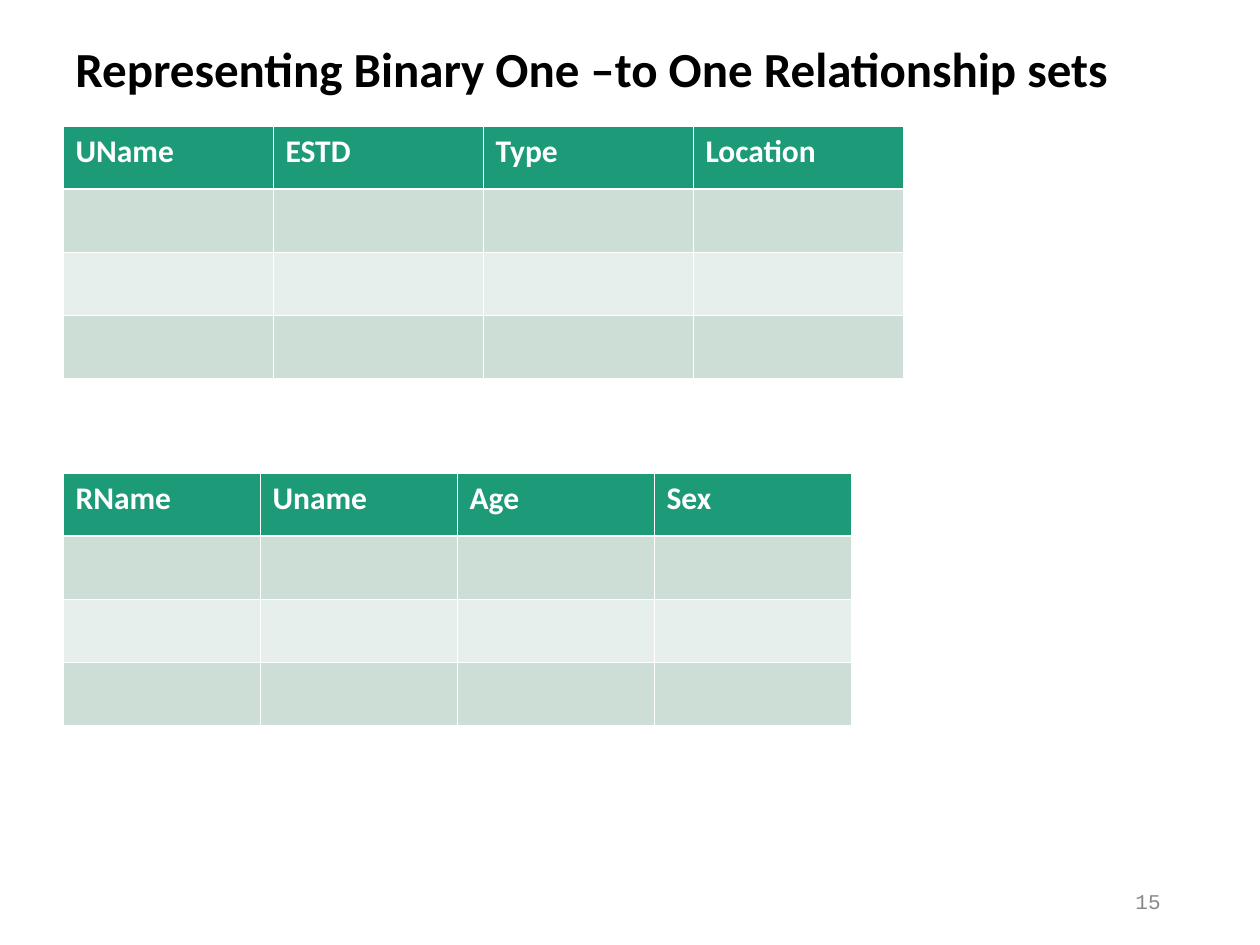
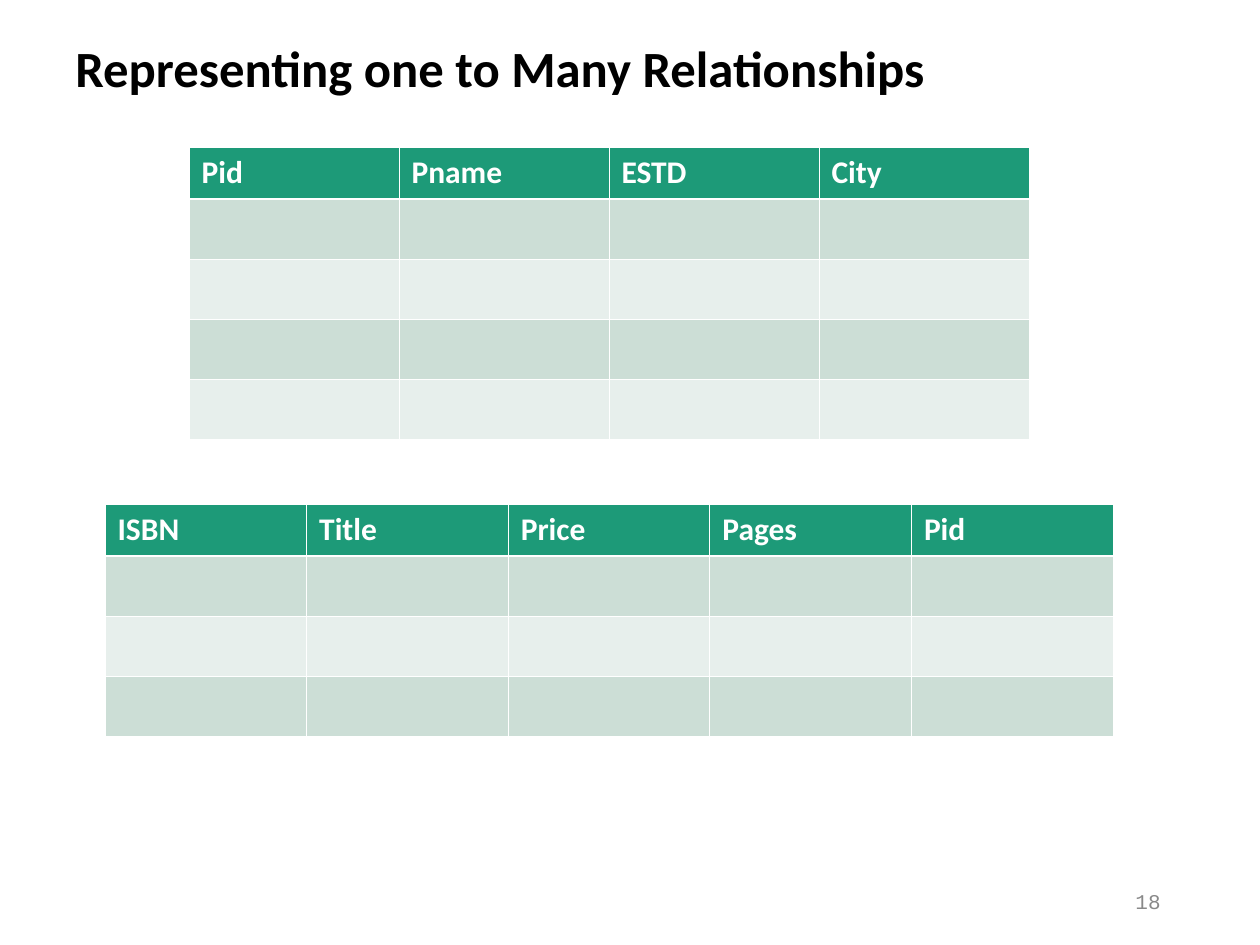
"""Build two slides that map relationship sets to relational tables."""
import lxml.etree
import pptx
import pptx.dml.color
import pptx.enum.text
import pptx.oxml.ns
import pptx.util

MIDDLE = pptx.enum.text.MSO_ANCHOR.MIDDLE
LEFT = pptx.enum.text.PP_ALIGN.LEFT
RIGHT = pptx.enum.text.PP_ALIGN.RIGHT
HEADER_FILL = "1D9A78"
BAND_FILLS = ["E7EFEC", "CCDED6"]
WHITE = "FFFFFF"
TITLE_AREA = (63, 38, 1134, 67)
NUMBER_AREA = (890, 876, 283, 50)
THIN, THICK = 0.45, 1.47


def px(length):
    return pptx.util.Emu(round(length * 914400 / 126))


def color(value):
    return pptx.dml.color.RGBColor.from_string(value)


slides = [
    {
        "title": "Representing Binary One –to One Relationship sets",
        "title_size": 28,
        "number": "15",
        "header_height": 63,
        "row_height": 63,
        "tables": [
            (63, 126, 840, 3, ["UName", "ESTD", "Type", "Location"]),
            (63, 473, 788, 3, ["RName", "Uname", "Age", "Sex"]),
        ],
    },
    {
        "title": "Representing one to Many Relationships",
        "title_size": 29,
        "number": "18",
        "header_height": 52,
        "row_height": 60,
        "tables": [
            (189, 147, 840, 4, ["Pid", "Pname", "ESTD", "City"]),
            (105, 504, 1008, 3, ["ISBN", "Title", "Price", "Pages", "Pid"]),
        ],
    },
]

deck = pptx.Presentation()
deck.slide_width, deck.slide_height = px(1260), px(945)

for content in slides:
    page = deck.slides.add_slide(deck.slide_layouts[6])

    for text, area, font_name, size, ink, bold, align, spacing in [
        (content["title"], TITLE_AREA, "Calibri", content["title_size"], "000000", True, LEFT, 0.9),
        (content["number"], NUMBER_AREA, "Courier New", 12, "898989", False, RIGHT, 1.0),
    ]:
        box = page.shapes.add_textbox(*map(px, area))
        box.text_frame.word_wrap = True
        box.text_frame.vertical_anchor = MIDDLE
        para = box.text_frame.paragraphs[0]
        para.text = text
        para.alignment = align
        para.line_spacing = spacing
        para.font.name = font_name
        para.font.size = pptx.util.Pt(size)
        para.font.bold = bold
        para.font.color.rgb = color(ink)

    for left, top, width, body_rows, headings in content["tables"]:
        heights = [content["header_height"]] + [content["row_height"]] * body_rows
        table = page.shapes.add_table(
            len(heights), len(headings), px(left), px(top), px(width), px(sum(heights))
        ).table
        for row_index, height in enumerate(heights):
            row = table.rows[row_index]
            row.height = px(height)
            edges = {
                "a:lnL": THIN,
                "a:lnR": THIN,
                "a:lnT": THICK if row_index == 1 else THIN,
                "a:lnB": THICK if row_index == 0 else THIN,
            }
            for cell, heading in zip(row.cells, headings):
                properties = cell._tc.get_or_add_tcPr()
                for tag, points in edges.items():
                    line = lxml.etree.SubElement(
                        properties, pptx.oxml.ns.qn(tag), w=str(pptx.util.Pt(points))
                    )
                    fill = lxml.etree.SubElement(line, pptx.oxml.ns.qn("a:solidFill"))
                    lxml.etree.SubElement(fill, pptx.oxml.ns.qn("a:srgbClr"), val=WHITE)
                cell.fill.solid()
                cell.fill.fore_color.rgb = color(BAND_FILLS[row_index % 2] if row_index else HEADER_FILL)
                if row_index == 0:
                    para = cell.text_frame.paragraphs[0]
                    para.text = heading
                    para.font.name = "Calibri"
                    para.font.size = pptx.util.Pt(18)
                    para.font.bold = True
                    para.font.color.rgb = color(WHITE)

deck.save("out.pptx")
